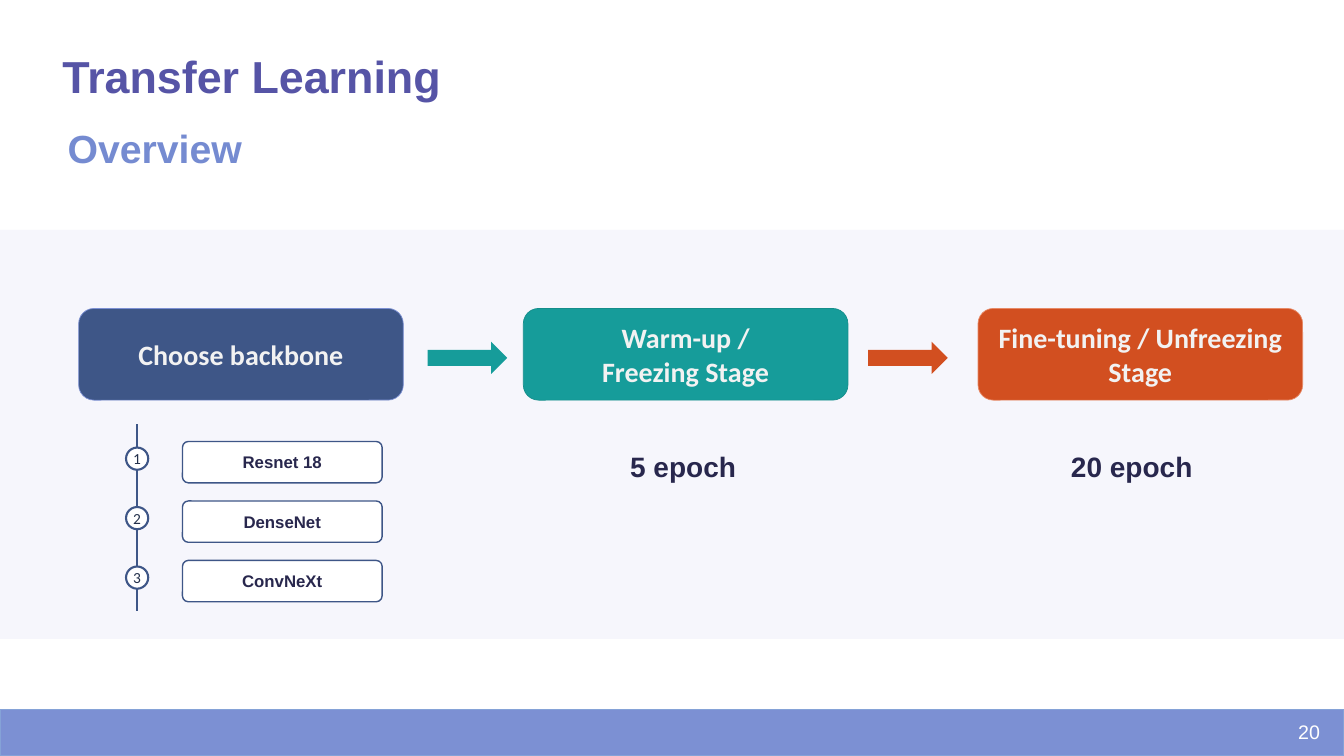
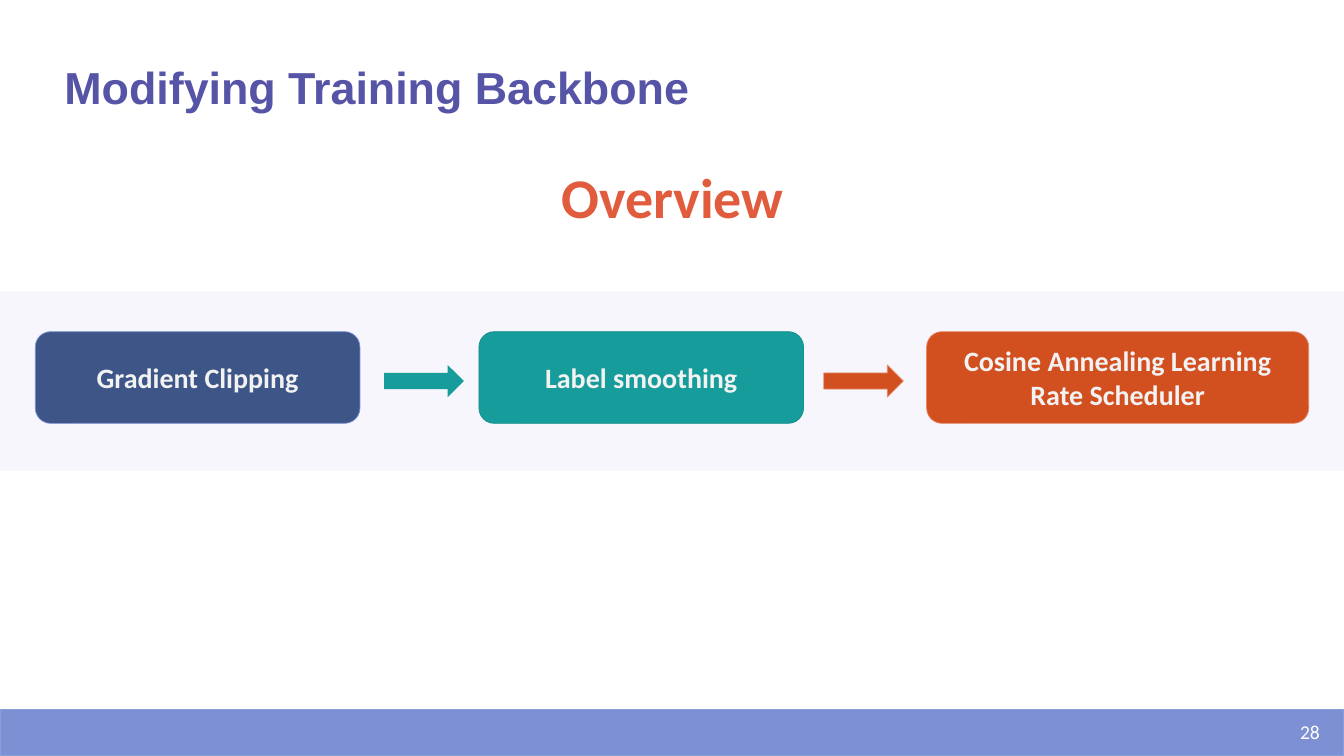
from dataclasses import dataclass
from lxml import etree
from pptx import Presentation
from pptx.dml.color import RGBColor
from pptx.enum.shapes import MSO_CONNECTOR as Connector, MSO_SHAPE as Shape
from pptx.enum.text import MSO_ANCHOR as Anchor, MSO_AUTO_SIZE as AutoSize, PP_ALIGN as Align
from pptx.oxml.ns import qn
from pptx.util import Inches, Pt


@dataclass(frozen=True)
class Theme:
    heading_font: str = "Arial"
    body_font: str = "Calibri"
    title: str = "5654A6"
    subtitle: str = "758BD1"
    accent: str = "E15C3D"
    panel: str = "F6F6FC"
    footer: str = "7C90D3"
    footer_line: str = "85A2D7"
    white: str = "FFFFFF"
    stage_text: str = "F2F2F2"
    dark: str = "28274D"
    navy: str = "3E5687"
    step_text: str = "222F4A"
    # fill and outline of the three stages
    stages: tuple = (("3E5687", "7C90D3"), ("169C9A", "148E8B"), ("D24F20", "E78A67"))
    title_size: float = 32
    subtitle_size: float = 28
    accent_size: float = 40
    stage_size: float = 20
    page_size: float = 14
    card_size: float = 12
    step_size: float = 11


THEME = Theme()
SLIDE_WIDTH, SLIDE_HEIGHT = 13.33, 7.5
STAGE_HEIGHT = 0.91
ARROW_WIDTH, ARROW_HEIGHT = 0.79, 0.32
ARROW_GAPS = (0.24, 0.2)
STEP_PITCH = 0.59

# Content: boxes are (left, top, width, height); stages are (text, left, width)
SLIDES = [
    {
        "title": "Transfer Learning",
        "title_box": (0.52, 0.43, 3.99, 0.64),
        "subtitle": "Overview",
        "subtitle_box": (0.56, 1.18, 1.95, 0.57),
        "subtitle_format": dict(size=THEME.subtitle_size, name=THEME.heading_font,
                                color=THEME.subtitle),
        "panel": (2.28, 4.06),
        "stage_top": 3.06,
        "stages": [("Choose backbone", 0.78, 3.22),
                   ("Warm-up /\nFreezing Stage", 5.19, 3.22),
                   ("Fine-tuning / Unfreezing Stage", 9.7, 3.22)],
        "arrow_lines": (None, None),
        "epochs": [("5 epoch", 5.25), ("20 epoch", 9.7)],
        "backbones": ["Resnet 18", "DenseNet", "ConvNeXt"],
        "page": "20",
        "page_font": THEME.heading_font,
    },
    {
        "title": "Modifying Training Backbone",
        "title_box": (0.54, 0.54, 6.45, 0.64),
        "subtitle": "Overview",
        "subtitle_box": (5.28, 1.56, 2.78, 0.77),
        "subtitle_format": dict(size=THEME.accent_size, name=THEME.body_font,
                                color=THEME.accent),
        "panel": (2.89, 1.78),
        "stage_top": 3.29,
        "stages": [("Gradient Clipping", 0.35, 3.22),
                   ("Label smoothing", 4.75, 3.22),
                   ("Cosine Annealing Learning Rate Scheduler", 9.19, 3.79)],
        "arrow_lines": (None, THEME.stages[2][1]),
        "epochs": [],
        "backbones": [],
        "page": "28",
        "page_font": THEME.body_font,
    },
]


# Drawing helpers
def write(shape, text, size, name, color, bold=True, align=Align.CENTER, anchor=Anchor.MIDDLE,
          wrap=True, margin=None):
    frame = shape.text_frame
    frame.word_wrap = wrap
    frame.vertical_anchor = anchor
    if not wrap:
        frame.auto_size = AutoSize.SHAPE_TO_FIT_TEXT
    if margin is not None:
        for side in ("left", "top", "right", "bottom"):
            setattr(frame, f"margin_{side}", Inches(margin))
    for index, line in enumerate(text.split("\n")):
        paragraph = frame.paragraphs[0] if index == 0 else frame.add_paragraph()
        paragraph.alignment = align
        run = paragraph.add_run()
        run.text = line
        for attribute, value in dict(size=Pt(size), name=name, bold=bold).items():
            setattr(run.font, attribute, value)
        run.font.color.rgb = RGBColor.from_string(color)


def add_text(slide, box, text, **text_format):
    write(slide.shapes.add_textbox(*map(Inches, box)), text, **text_format)


def add_block(slide, kind, box, fill, line=None, line_width=0.5):
    shape = slide.shapes.add_shape(kind, *map(Inches, box))
    shape.shadow.inherit = False
    shape.fill.solid()
    shape.fill.fore_color.rgb = RGBColor.from_string(fill)
    if line:
        shape.line.color.rgb = RGBColor.from_string(line)
        shape.line.width = Pt(line_width)
    else:
        shape.line.fill.background()
    return shape


# Parts of a slide
def add_frame(slide, content):
    panel_top, panel_height = content["panel"]
    add_block(slide, Shape.RECTANGLE, (0, panel_top, SLIDE_WIDTH, panel_height), THEME.panel)
    add_block(slide, Shape.RECTANGLE, (0, 7.04, SLIDE_WIDTH, 0.46), THEME.footer,
              THEME.footer_line, 1)
    add_text(slide, content["title_box"], content["title"], size=THEME.title_size,
             name=THEME.heading_font, color=THEME.title, align=Align.LEFT,
             anchor=Anchor.TOP, wrap=False)
    add_text(slide, content["subtitle_box"], content["subtitle"], anchor=Anchor.TOP,
             wrap=False, **content["subtitle_format"])
    add_text(slide, (12.72, 7.06, 0.47, 0.4), content["page"], size=THEME.page_size,
             name=content["page_font"], color=THEME.white, bold=False, align=Align.RIGHT)


def add_stages(slide, content):
    top = content["stage_top"]
    for (text, left, width), (fill, line) in zip(content["stages"], THEME.stages):
        stage = add_block(slide, Shape.ROUNDED_RECTANGLE, (left, top, width, STAGE_HEIGHT),
                          fill, line)
        write(stage, text, THEME.stage_size, THEME.body_font, THEME.stage_text)
    # Each arrow follows a stage and takes the colour of the next one
    arrow_top = top + 0.33
    arrows = zip(content["stages"], ARROW_GAPS, THEME.stages[1:], content["arrow_lines"])
    for (_, left, width), gap, (fill, _), line in arrows:
        add_block(slide, Shape.RIGHT_ARROW,
                  (left + width + gap, arrow_top, ARROW_WIDTH, ARROW_HEIGHT), fill, line)


def add_backbones(slide, names):
    axis = slide.shapes.add_connector(Connector.STRAIGHT,
                                      *map(Inches, (1.36, 4.21, 1.36, 6.06)))
    axis.line.color.rgb = RGBColor.from_string(THEME.navy)
    axis.line.width = Pt(1.5)
    etree.SubElement(axis._element.spPr, qn("a:effectLst"))
    for index, name in enumerate(names):
        offset = index * STEP_PITCH
        card = add_block(slide, Shape.ROUNDED_RECTANGLE, (1.81, 4.38 + offset, 1.98, 0.41),
                         THEME.white, THEME.navy, 1)
        card.adjustments[0] = 0.14
        write(card, name, THEME.card_size, THEME.heading_font, THEME.dark)
        step = add_block(slide, Shape.OVAL, (1.25, 4.44 + offset, 0.22, 0.22),
                         THEME.white, THEME.navy, 1.5)
        write(step, str(index + 1), THEME.step_size, THEME.body_font, THEME.step_text,
              bold=False, margin=0)


def main():
    presentation = Presentation()
    presentation.slide_width = Inches(SLIDE_WIDTH)
    presentation.slide_height = Inches(SLIDE_HEIGHT)
    for content in SLIDES:
        slide = presentation.slides.add_slide(presentation.slide_layouts[6])
        add_frame(slide, content)
        add_stages(slide, content)
        for text, left in content["epochs"]:
            add_text(slide, (left, 4.41, 3.05, 0.44), text, size=THEME.stage_size,
                     name=THEME.heading_font, color=THEME.dark, anchor=Anchor.TOP)
        if content["backbones"]:
            add_backbones(slide, content["backbones"])
    presentation.save("out.pptx")


if __name__ == "__main__":
    main()
